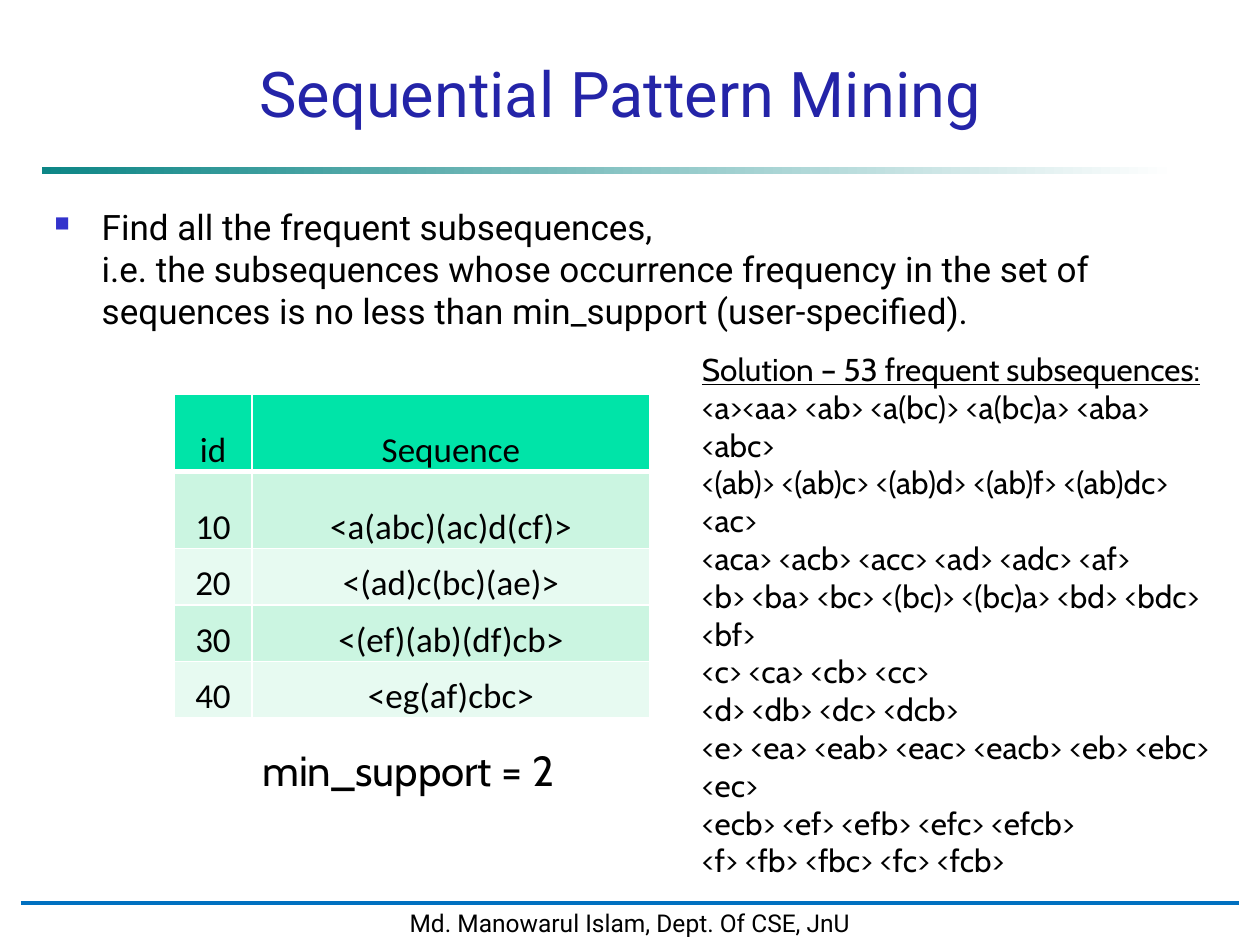
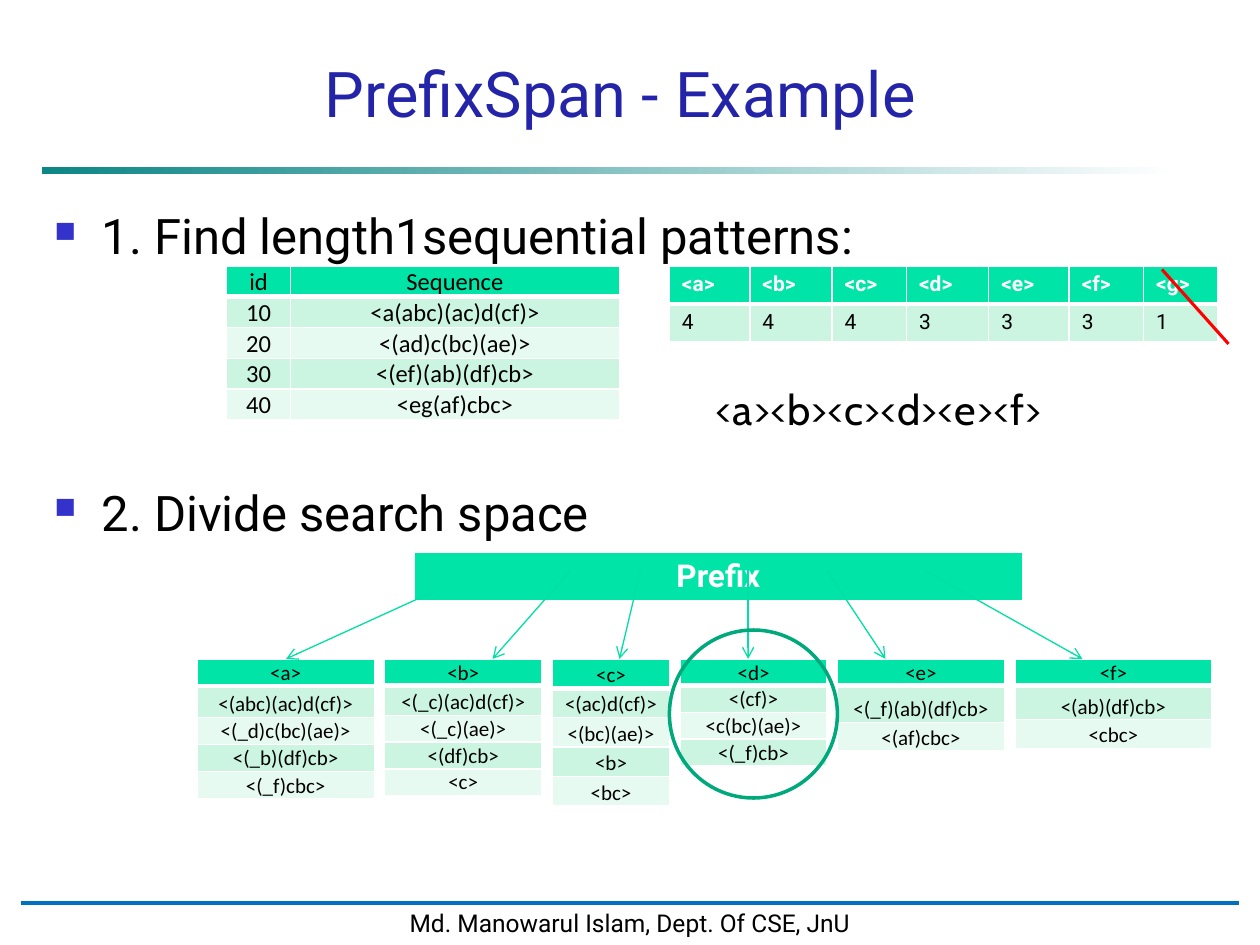
"""Build two slides on sequential pattern mining and the PrefixSpan method."""
from itertools import accumulate

from lxml import etree
from pptx import Presentation
from pptx.dml.color import RGBColor
from pptx.enum.shapes import MSO_CONNECTOR, MSO_SHAPE
from pptx.enum.text import MSO_ANCHOR, MSO_AUTO_SIZE, PP_ALIGN
from pptx.oxml.ns import qn
from pptx.util import Pt

LEFT, CENTER = PP_ALIGN.LEFT, PP_ALIGN.CENTER
BOTTOM, TOP, MIDDLE = MSO_ANCHOR.BOTTOM, MSO_ANCHOR.TOP, MSO_ANCHOR.MIDDLE
STRAIGHT = MSO_CONNECTOR.STRAIGHT
RECTANGLE, OVAL = MSO_SHAPE.RECTANGLE, MSO_SHAPE.OVAL
TITLE_ONLY = 5

COLORS = {
    "title": "2424A8", "text": "000000", "white": "FFFFFF", "bullet": "3333CC",
    "band": "0D8686", "footer_line": "0070C0", "header": "00E4A8",
    "odd_row": "CBF5E1", "even_row": "E7FAF1", "arrow": "00DFA4",
    "ring": "00A97C", "strike": "FF0000",
}
MAIN_FONT, TABLE_FONT, NOTE_FONT = "Roboto", "Calibri", "Cabin"

FOOTER = "Md. Manowarul Islam, Dept. Of CSE, JnU"
SEQUENCES = [
    ("id", "Sequence"),
    ("10", "<a(abc)(ac)d(cf)>"),
    ("20", "<(ad)c(bc)(ae)>"),
    ("30", "<(ef)(ab)(df)cb>"),
    ("40", "<eg(af)cbc>"),
]
GOAL = [
    "Find all the frequent subsequences, \v"
    "i.e. the subsequences whose occurrence frequency in the set of "
    "sequences is no less than min_support (user-specified)."
]
SOLUTION = [
    "Solution – 53 frequent subsequences:",
    "<a><aa> <ab> <a(bc)> <a(bc)a> <aba> <abc>",
    "<(ab)> <(ab)c> <(ab)d> <(ab)f> <(ab)dc> <ac>",
    "<aca> <acb> <acc> <ad> <adc> <af>",
    "<b> <ba> <bc> <(bc)> <(bc)a> <bd> <bdc> <bf>",
    "<c> <ca> <cb> <cc>",
    "<d> <db> <dc> <dcb>",
    "<e> <ea> <eab> <eac> <eacb> <eb> <ebc> <ec>",
    "<ecb> <ef> <efb> <efc> <efcb>",
    "<f> <fb> <fbc> <fc> <fcb>",
]
STEPS = ["1. Find length1sequential patterns:", "2. Divide search space"]
SUPPORTS = [
    ("<a>", "<b>", "<c>", "<d>", "<e>", "<f>", "<g>"),
    ("4", "4", "4", "3", "3", "3", "1"),
]
PROJECTIONS = [
    {"rows": ["<a>", "<(abc)(ac)d(cf)>", "<(_d)c(bc)(ae)>", "<(_b)(df)cb>", "<(_f)cbc>"],
     "width": 101.5, "heights": [15.5, 18, 15.5, 15.5, 15.5], "arrow": (248, 338, 163.5)},
    {"rows": ["<b>", "<(_c)(ac)d(cf)>", "<(_c)(ae)>", "<(df)cb>", "<c>"],
     "width": 90, "heights": [15.3, 17, 15.3, 15.3, 15.3], "arrow": (326, 326, 281.5)},
    {"rows": ["<c>", "<(ac)d(cf)>", "<(bc)(ae)>", "<b>", "<bc>"],
     "width": 67.5, "heights": [16.8] * 5, "arrow": (366, 326, 354)},
    {"rows": ["<d>", "<(cf)>", "<c(bc)(ae)>", "<(_f)cb>"],
     "width": 84, "heights": [15.3] * 4, "arrow": (427.5, 326, 427.5)},
    {"rows": ["<e>", "<(_f)(ab)(df)cb>", "<(af)cbc>"],
     "width": 96, "heights": [15.3, 21, 16.5], "arrow": (472.5, 326, 506)},
    {"rows": ["<f>", "<(ab)(df)cb>", "<cbc>"],
     "width": 112.5, "heights": [15.3, 19.5, 16.5], "arrow": (528.5, 326, 618.5)},
]
PROJECTION_LEFT, PROJECTION_TOP, PROJECTION_GAP = 112.5, 376.5, 5.7


def rgb(name):
    return RGBColor.from_string(COLORS[name])


def points(*values):
    return [Pt(value) for value in values]


def style(frame, font, size, color="text", align=LEFT, bold=False):
    for para in frame.paragraphs:
        para.alignment = align
        for span in para.runs:
            span.font.name = font
            span.font.size = Pt(size)
            span.font.bold = bold
            span.font.color.rgb = rgb(color)


def add_text(page, area, lines, font, size, align=LEFT):
    frame = page.shapes.add_textbox(*points(*area)).text_frame
    frame.word_wrap = True
    frame.text = lines[0]
    for line in lines[1:]:
        frame.add_paragraph().text = line
    style(frame, font, size, align=align)
    return frame


def add_bullets(page, lines, size, gap=0):
    frame = add_text(page, (24, 114, 660, 396), lines, MAIN_FONT, size)
    for index, para in enumerate(frame.paragraphs):
        if index:
            para.space_before = Pt(gap)
        properties = para._p.get_or_add_pPr()
        properties.set("marL", str(Pt(27)))
        properties.set("indent", str(-Pt(27)))
        color = etree.SubElement(properties, qn("a:buClr"))
        etree.SubElement(color, qn("a:srgbClr"), val=COLORS["bullet"])
        etree.SubElement(properties, qn("a:buSzPct"), val="60000")
        etree.SubElement(properties, qn("a:buChar"), char="■")


def add_line(page, start, end, color, width, arrow=False):
    line = page.shapes.add_connector(STRAIGHT, *points(*start, *end))
    line.line.color.rgb = rgb(color)
    line.line.width = Pt(width)
    if arrow:
        etree.SubElement(line.line._get_or_add_ln(), qn("a:tailEnd"), type="arrow")
    etree.SubElement(line._element.spPr, qn("a:effectLst"))


def add_shape(page, kind, area):
    shape = page.shapes.add_shape(kind, *points(*area))
    shape.shadow.inherit = False
    return shape


def set_borders(cell, row):
    widths = {"L": 1, "R": 1, "T": 3 if row == 1 else 1, "B": 3 if row == 0 else 1}
    properties = cell._tc.get_or_add_tcPr()
    for side, width in widths.items():
        border = etree.SubElement(properties, qn(f"a:ln{side}"), w=str(Pt(width)))
        fill = etree.SubElement(border, qn("a:solidFill"))
        etree.SubElement(fill, qn("a:srgbClr"), val=COLORS["white"])


def add_grid(page, left, top, widths, heights, rows, size, font=TABLE_FONT, align=CENTER):
    compact = font == TABLE_FONT
    area = points(left, top, sum(widths), sum(heights))
    table = page.shapes.add_table(len(rows), len(widths), *area).table
    for column, width in zip(table.columns, widths):
        column.width = Pt(width)
    for row, (height, values) in enumerate(zip(heights, rows)):
        table.rows[row].height = Pt(height)
        heading = row == 0
        fill = "header" if heading else "odd_row" if row % 2 else "even_row"
        bright = heading and not compact
        for column, value in enumerate(values):
            cell = table.cell(row, column)
            set_borders(cell, row)
            cell.fill.solid()
            cell.fill.fore_color.rgb = rgb(fill)
            cell.vertical_anchor = BOTTOM if compact else TOP
            if compact:
                cell.margin_left = cell.margin_right = cell.margin_top = Pt(0.75)
                cell.margin_bottom = 0
            cell.text_frame.text = value
            style(cell.text_frame, font, size, "white" if bright else "text", align, bright)


def add_page(deck, heading):
    page = deck.slides.add_slide(deck.slide_layouts[TITLE_ONLY])

    band = add_shape(page, RECTANGLE, (24, 95.5, 648, 4))
    band.line.fill.background()
    band.fill.gradient()
    band.fill.gradient_angle = 0
    for stop, position, color in zip(band.fill.gradient_stops, (0, 1), ("band", "white")):
        stop.position = position
        stop.color.rgb = rgb(color)

    footer = add_shape(page, RECTANGLE, (12, 515, 696, 24))
    footer.fill.solid()
    footer.fill.fore_color.rgb = rgb("white")
    footer.line.color.rgb = rgb("white")
    footer.line.width = Pt(2)
    footer.text_frame.text = FOOTER
    footer.text_frame.word_wrap = False
    footer.text_frame.vertical_anchor = MIDDLE
    style(footer.text_frame, MAIN_FONT, 14, align=CENTER)
    add_line(page, (12, 516), (708, 516), "footer_line", 1.75)

    title = page.shapes.title
    title.left, title.top, title.width, title.height = points(48, 30, 613, 48)
    title.text_frame.text = heading
    title.text_frame.auto_size = MSO_AUTO_SIZE.NONE
    title.text_frame.vertical_anchor = BOTTOM
    style(title.text_frame, MAIN_FONT, 36, "title", CENTER)
    return page


def add_mining_page(deck):
    page = add_page(deck, "Sequential Pattern Mining")
    add_bullets(page, GOAL, 20)
    add_grid(page, 99.5, 225, [44.5, 227.5], [44.5, 44, 32.3, 32.3, 32.3], SEQUENCES, 20)
    solution = add_text(page, (394, 196.5, 315, 312.5), SOLUTION, NOTE_FONT, 18)
    solution.paragraphs[0].runs[0].font.underline = True
    add_text(page, (106.5, 422, 253.5, 29), ["min_support = 2"], NOTE_FONT, 24, CENTER)


def add_example_page(deck):
    page = add_page(deck, "PrefixSpan - Example")
    add_bullets(page, STEPS, 28, gap=124.3)
    add_grid(page, 236.5, 315.5, [348], [27.5], [("Prefix",)], 18, MAIN_FONT)

    steps = [projection["width"] + PROJECTION_GAP for projection in PROJECTIONS]
    lefts = accumulate(steps[:-1], initial=PROJECTION_LEFT)
    for left, projection in zip(lefts, PROJECTIONS):
        rows = [(value,) for value in projection["rows"]]
        add_grid(page, left, PROJECTION_TOP, [projection["width"]],
                 projection["heights"], rows, 12)
    for projection in PROJECTIONS:
        start_x, start_y, end_x = projection["arrow"]
        add_line(page, (start_x, start_y), (end_x, PROJECTION_TOP), "arrow", 0.75, True)

    add_grid(page, 382.5, 152, [46, 47, 42.5, 47, 46, 42.5, 42.5], [21, 21.6],
             SUPPORTS, 12, MAIN_FONT, LEFT)
    add_grid(page, 129.5, 152, [36.5, 188], [17.6] * 5, SEQUENCES, 14)

    ring = add_shape(page, OVAL, (382.5, 360, 96, 96))
    ring.fill.background()
    ring.line.color.rgb = rgb("ring")
    ring.line.width = Pt(2)
    add_line(page, (664, 154), (702, 196.5), "strike", 1.75)
    add_text(page, (402, 215.5, 267, 36.5), ["<a><b><c><d><e><f>"], NOTE_FONT, 24)


def main():
    deck = Presentation()
    deck.slide_width, deck.slide_height = points(720, 540)
    add_mining_page(deck)
    add_example_page(deck)
    deck.save("out.pptx")


if __name__ == "__main__":
    main()
